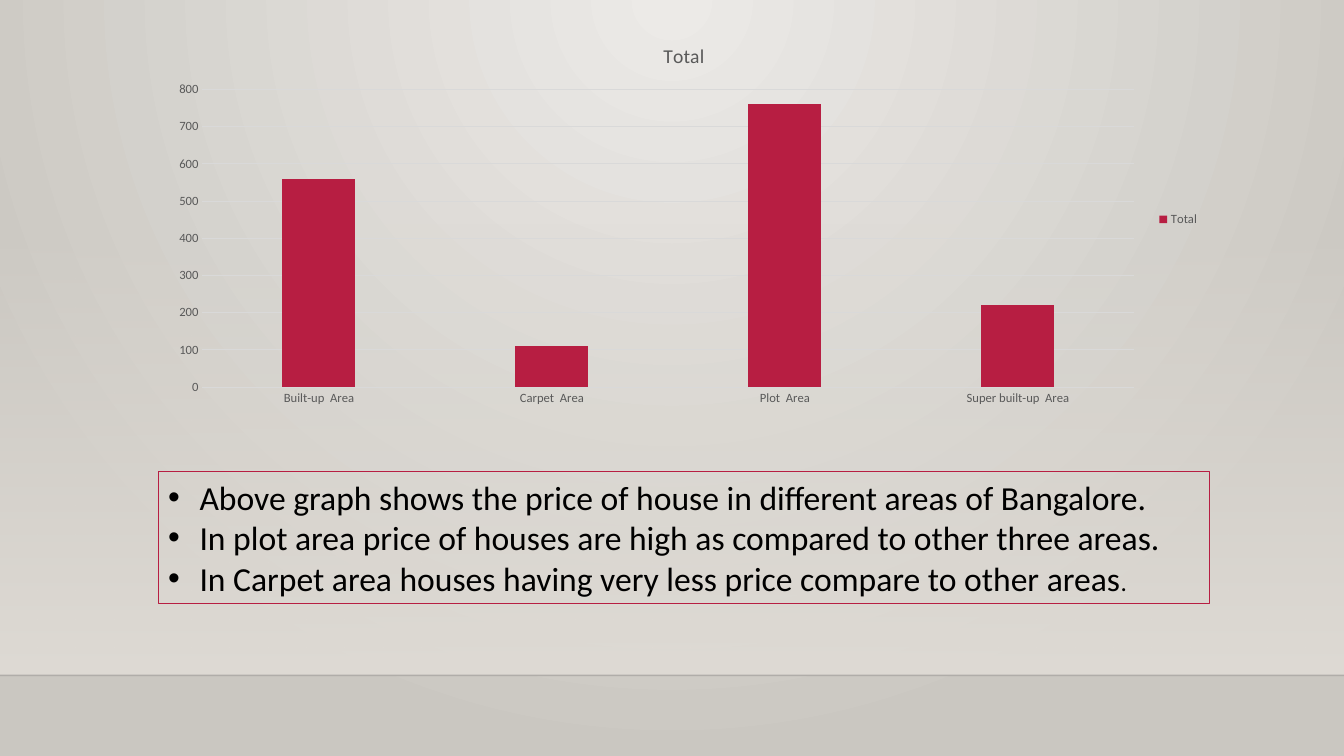
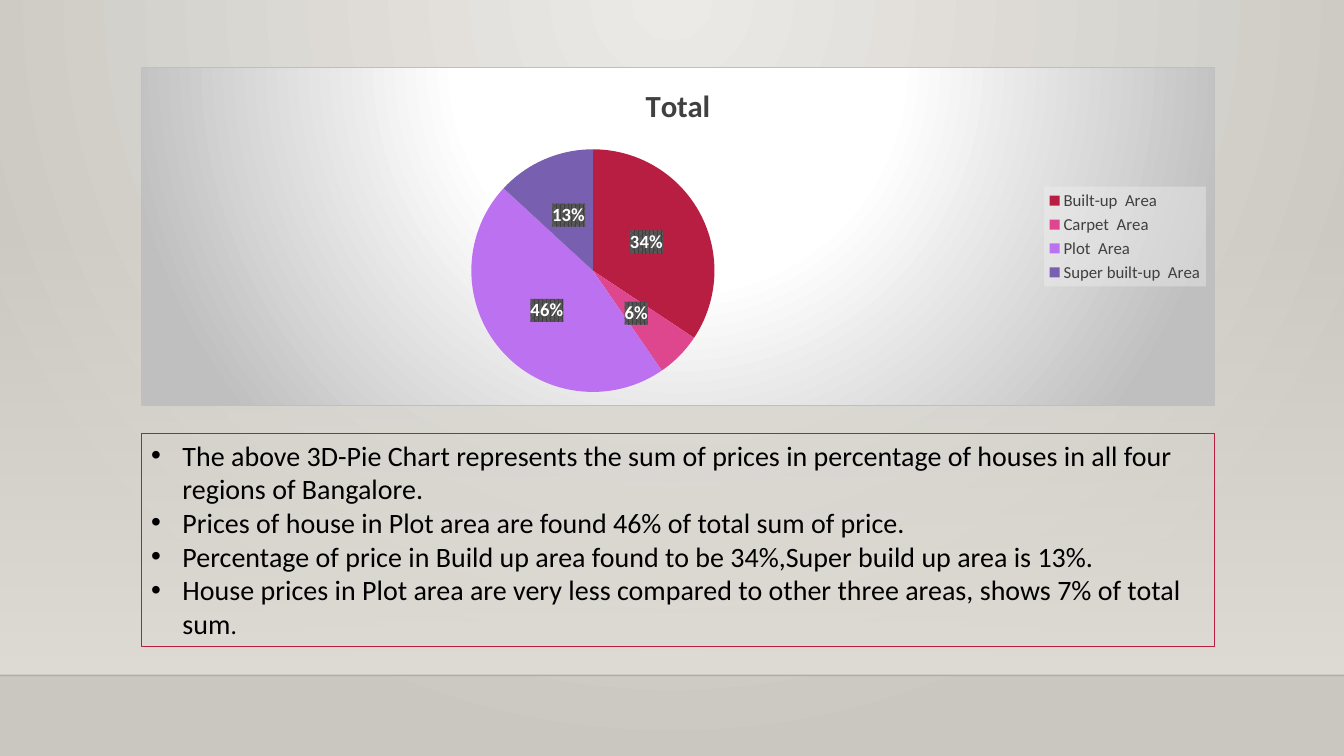
"""Builds two slides on house prices by area type, each with a chart and its findings."""
from pptx import Presentation
from pptx.chart.data import CategoryChartData
from pptx.dml.color import RGBColor
from pptx.enum.chart import (XL_CHART_TYPE as CT, XL_LABEL_POSITION as LP,
                             XL_LEGEND_POSITION as LEG, XL_TICK_MARK as TICK)
from pptx.enum.shapes import MSO_CONNECTOR as CONN, MSO_SHAPE as SHAPE
from pptx.enum.text import MSO_AUTO_SIZE as AUTO
from pptx.oxml import parse_xml
from pptx.oxml.ns import nsdecls
from pptx.util import Cm, Pt

FONT = "Calibri"
WIDTH, HEIGHT = 33.87, 19.05
BAND_TOP, FLOOR = 5.61, 17.02
CRIMSON, BLACK, GRID, GREY, DARK = "B71E42", "000000", "D9D9D9", "595959", "404040"
PIE_COLOURS = [CRIMSON, "DE478E", "BC72F0", "795FAF"]
AREAS = ["Built-up  Area", "Carpet  Area", "Plot  Area", "Super built-up  Area"]
INDENT = Cm(0.79)

COLUMN_BOX, COLUMN_NOTES_BOX = (3.99, 0.64, 26.49, 9.78), (3.99, 11.89, 26.49, 3.33)
PIE_BOX, PIE_NOTES_BOX = (3.56, 1.68, 27.05, 8.56), (3.56, 10.92, 27.05, 5.38)
COLUMN_NOTES = [
    "Above graph shows the price of house in different areas of Bangalore.",
    "In plot area price of houses are high as compared to other three areas.",
    "In Carpet area houses having very less price compare to other areas",
]
PIE_NOTES = [
    "The above 3D-Pie Chart represents the sum of prices in percentage of houses "
    "in all four regions of Bangalore.",
    "Prices of house in Plot area are found 46% of total sum of price.",
    "Percentage of price in Build up area found to be 34%,Super build up area is 13%.",
    "House prices in Plot area are very less compared to other three areas, "
    "shows 7% of total sum",
]


def rgb(value):
    """Turn a hex string into a colour."""
    return RGBColor.from_string(value)


def cm_box(box):
    """Turn a box in centimetres into lengths."""
    return [Cm(v) for v in box]


def set_font(font, size, colour, bold=False):
    """Apply the deck's font with the given format values."""
    for name, value in {"name": FONT, "size": Pt(size), "bold": bold}.items():
        setattr(font, name, value)
    font.color.rgb = rgb(colour)


def set_line(line, colour, width=0.75):
    """Give a line its colour and width."""
    line.color.rgb = rgb(colour)
    line.width = Pt(width)


def colour_xml(colour, alpha=100):
    """Return the XML of a colour with its opacity in percent."""
    return f'<a:srgbClr val="{colour}"><a:alpha val="{alpha * 1000}"/></a:srgbClr>'


def gradient_xml(stops, centre=None):
    """Return a gradient, circular around a centre rectangle or else downward."""
    gs = "".join(f'<a:gs pos="{pos * 1000}">{colour_xml(*colour)}</a:gs>'
                 for pos, *colour in stops)
    if centre:
        sides = " ".join(f'{k}="{v * 1000}"' for k, v in zip("ltrb", centre))
        course = f'<a:path path="circle"><a:fillToRect {sides}/></a:path>'
    else:
        course = '<a:lin ang="5400000" scaled="0"/>'
    return f'<a:gradFill {nsdecls("a")} rotWithShape="1"><a:gsLst>{gs}</a:gsLst>{course}</a:gradFill>'


def set_gradient(fill, element, xml):
    """Swap the fill of a background or shape for a gradient."""
    fill.solid()
    old = element.xpath(".//p:bgPr/a:solidFill | ./p:spPr/a:solidFill")[0]
    old.getparent().replace(old, parse_xml(xml))


def style_chart_part(chart, part, xml):
    """Put shape properties ahead of the text properties of a chart part."""
    text = chart.element.xpath(f"{part}/c:txPr")[0]
    text.addprevious(parse_xml(f'<c:spPr {nsdecls("c", "a")}>{xml}</c:spPr>'))


def add_backdrop(s):
    """Draw the light band and the floor line."""
    sp = s.shapes.add_shape(SHAPE.RECTANGLE, *cm_box((0, BAND_TOP, WIDTH, FLOOR - BAND_TOP)))
    sp.shadow.inherit = False
    sp.line.fill.background()
    set_gradient(sp.fill, sp.element, gradient_xml([(0, "DFDBD5", 0), (100, "DFDBD5")]))
    floor = s.shapes.add_connector(CONN.STRAIGHT, *cm_box((0, FLOOR, WIDTH, FLOOR)))
    set_line(floor.line, "000001", 1)
    colour = floor.element.xpath(".//a:ln//a:srgbClr")[0]
    colour.append(parse_xml(f'<a:alpha {nsdecls("a")} val="20000"/>'))
    floor.element.spPr.append(parse_xml(f'<a:effectLst {nsdecls("a")}/>'))


def add_notes_box(s, box, lines, size):
    """Write bulleted findings in a framed box, the last with a smaller full stop."""
    sp = s.shapes.add_textbox(*cm_box(box))
    set_line(sp.line, CRIMSON)
    tf = sp.text_frame
    tf.word_wrap = True
    tf.auto_size = AUTO.SHAPE_TO_FIT_TEXT
    for i, line in enumerate(lines):
        p = tf.add_paragraph() if i else tf.paragraphs[0]
        pr = p._p.get_or_add_pPr()
        for name, value in {"marL": INDENT, "indent": -INDENT}.items():
            pr.set(name, str(int(value)))
        pr.append(parse_xml(f'<a:buFont {nsdecls("a")} typeface="Arial"/>'))
        pr.append(parse_xml(f'<a:buChar {nsdecls("a")} char="•"/>'))
        r = p.add_run()
        r.text = line
        set_font(r.font, size, BLACK)
    r = p.add_run()
    r.text = "."
    set_font(r.font, 18, BLACK)


def add_area_chart(s, kind, box, values, title_font, legend_font):
    """Add a chart of one series over the areas, with title and legend."""
    data = CategoryChartData()
    data.categories = AREAS
    data.add_series("Total", values)
    chart = s.shapes.add_chart(kind, *cm_box(box), data).chart
    set_font(chart.font, 10, BLACK)
    chart.has_title = chart.has_legend = True
    r = chart.chart_title.text_frame.paragraphs[0].add_run()
    r.text = "Total"
    set_font(r.font, *title_font)
    chart.legend.position = LEG.RIGHT
    chart.legend.include_in_layout = False
    set_font(chart.legend.font, *legend_font)
    return chart


def add_column_chart(s, box, values):
    """Draw the price columns with light grid lines."""
    chart = add_area_chart(s, CT.COLUMN_CLUSTERED, box, values, (14, GREY), (9, GREY))
    plot = chart.plots[0]
    for name, value in {"gap_width": 219, "overlap": -27, "vary_by_categories": False}.items():
        setattr(plot, name, value)
    fill = plot.series[0].format.fill
    fill.solid()
    fill.fore_color.rgb = rgb(CRIMSON)
    for axis in (chart.category_axis, chart.value_axis):
        axis.major_tick_mark = axis.minor_tick_mark = TICK.NONE
        set_font(axis.tick_labels.font, 9, GREY)
    set_line(chart.category_axis.format.line, GRID)
    chart.value_axis.format.line.fill.background()
    set_line(chart.value_axis.major_gridlines.format.line, GRID)


def add_pie_chart(s, box, values):
    """Draw the price shares on a shaded panel."""
    chart = add_area_chart(s, CT.PIE, box, values, (22, DARK, True), (12, DARK))
    plot = chart.plots[0]
    plot.vary_by_categories = True
    for i, colour in enumerate(PIE_COLOURS):
        fill = plot.series[0].points[i].format.fill
        fill.solid()
        fill.fore_color.rgb = rgb(colour)
    labels = plot.series[0].data_labels
    for name, value in {"show_percentage": True, "show_value": False, "number_format": "0%",
                        "number_format_is_linked": False, "position": LP.CENTER}.items():
        setattr(labels, name, value)
    set_font(labels.font, 13.3, "FFFFFF", True)
    style_chart_part(chart, ".//c:dLbls",
                     f'<a:pattFill prst="pct75"><a:fgClr>{colour_xml(DARK)}</a:fgClr>'
                     f'<a:bgClr>{colour_xml(GREY)}</a:bgClr></a:pattFill>')
    style_chart_part(chart, ".//c:legend",
                     f'<a:solidFill>{colour_xml("F2F2F2", 39)}</a:solidFill>')
    panel = gradient_xml([(0, "FFFFFF"), (39, "FFFFFF"), (100, "BFBFBF")], (50, -80, 50, 180))
    style_chart_part(chart, ".", f'{panel}<a:ln w="{Pt(0.75)}"><a:solidFill>'
                     f'{colour_xml("BFBFBF")}</a:solidFill></a:ln>')


def add_slide(prs, add_chart, chart_box, values, notes_box, notes, size):
    """Add a slide with its backdrop, findings and chart."""
    s = prs.slides.add_slide(prs.slide_layouts[6])
    add_backdrop(s)
    add_notes_box(s, notes_box, notes, size)
    add_chart(s, chart_box, values)


def main():
    """Build and save the deck."""
    prs = Presentation()
    prs.slide_width, prs.slide_height = Cm(WIDTH), Cm(HEIGHT)
    master = prs.slide_master
    set_gradient(master.background.fill, master.element,
                 gradient_xml([(0, "ECEAE7"), (100, "CAC7C1")], (43, 0, 43, 100)))
    add_slide(prs, add_column_chart, COLUMN_BOX, [560, 110, 760, 220],
              COLUMN_NOTES_BOX, COLUMN_NOTES, 24)
    add_slide(prs, add_pie_chart, PIE_BOX, [34, 6, 46, 13],
              PIE_NOTES_BOX, PIE_NOTES, 20)
    prs.save("out.pptx")


if __name__ == "__main__":
    main()
